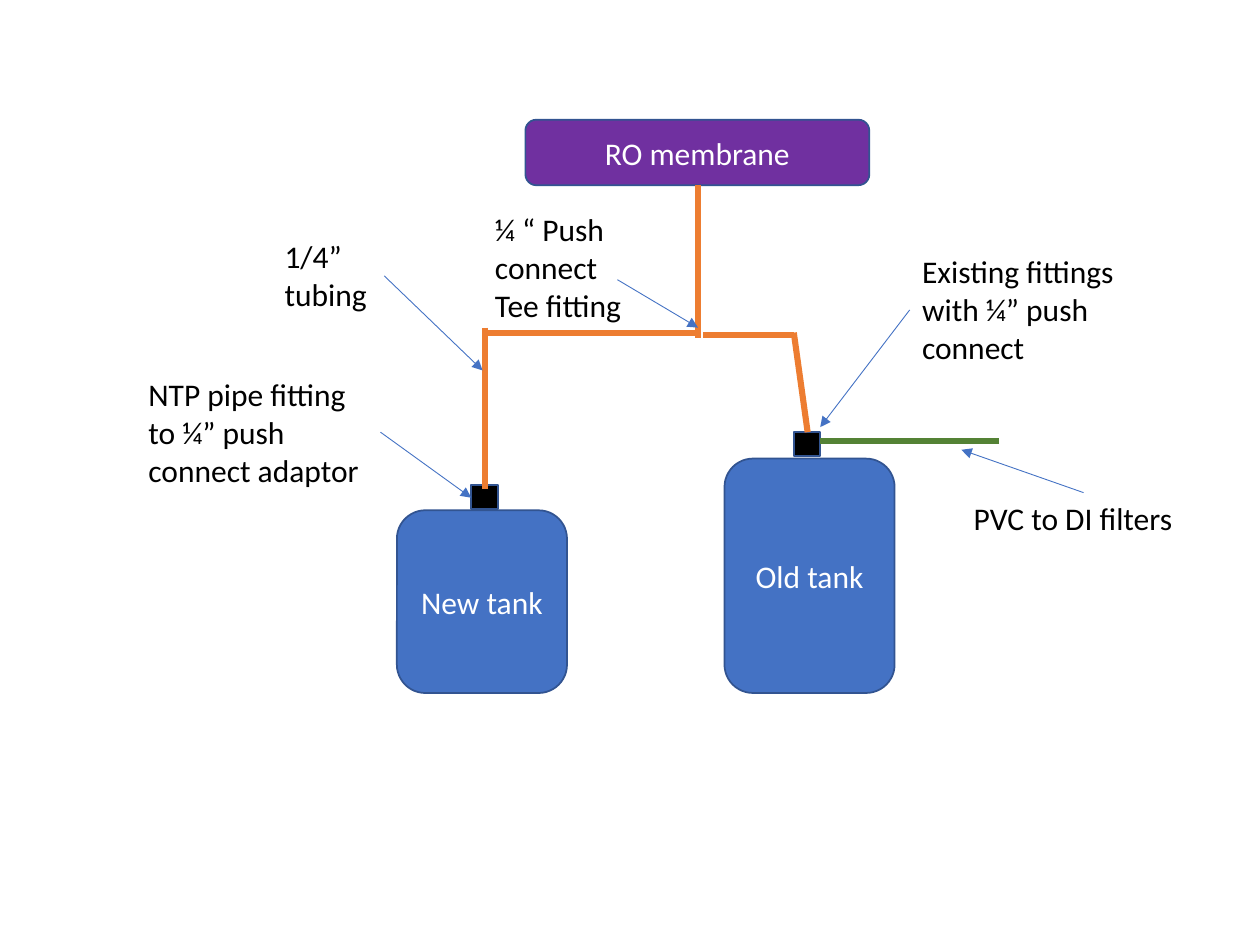
"""Build a plumbing diagram of an RO membrane feeding two tanks."""
from lxml.etree import SubElement
from pptx import Presentation
from pptx.dml.color import RGBColor
from pptx.enum.shapes import MSO_CONNECTOR, MSO_SHAPE
from pptx.enum.text import MSO_ANCHOR, PP_ALIGN
from pptx.oxml.ns import qn
from pptx.util import Inches, Pt

THEME = {
    "font": "Calibri", "size": 18, "text": "000000", "light": "FFFFFF",
    "tank": "4472C4", "edge": "325491", "unit": "7030A0", "cap": "000000",
    "tube": "ED7D31", "pvc": "548235", "arrow": "4472C4",
    "pipe": 3.5, "thin": 0.5, "rim": 1,
}

BOXES = [
    ("Old tank", "tank", (5.75, 3.64, 1.35, 1.86)),
    ("New tank", "tank", (3.15, 4.05, 1.35, 1.45)),
    ("RO membrane", "unit", (4.17, 0.95, 2.73, 0.52)),
    ("", "cap", (3.74, 3.85, 0.21, 0.19)),
    ("", "cap", (6.3, 3.43, 0.21, 0.19)),
]
PIPES = [
    ("tube", (5.54, 1.47, 5.54, 2.68)),
    ("tube", (5.54, 2.64, 3.83, 2.64)),
    ("tube", (3.85, 2.6, 3.85, 3.88)),
    ("tube", (6.3, 2.66, 5.58, 2.66)),
    ("tube", (6.3, 2.64, 6.41, 3.43)),
    ("pvc", (7.93, 3.5, 6.51, 3.5)),
]
NOTES = [
    ("1/4” tubing", (2.16, 1.83, 0.89, 0.71), (3.05, 2.19, 3.83, 2.94)),
    ("¼ “ Push connect Tee fitting", (3.83, 1.62, 1.31, 1.01),
     (4.9, 2.22, 5.54, 2.6)),
    ("NTP pipe fitting to ¼” push connect adaptor",
     (1.08, 2.93, 1.94, 1.01), (3.02, 3.43, 3.74, 3.95)),
    ("Existing fittings with ¼” push connect", (7.22, 1.95, 1.94, 1.01),
     (7.22, 2.46, 6.51, 3.39)),
    ("PVC to DI filters", (7.63, 3.91, 1.94, 0.4), (8.6, 3.91, 7.63, 3.57)),
]


def tint(name):
    return RGBColor.from_string(THEME[name])


def write(frame, text, color, align):
    frame.word_wrap = True
    frame.text = text
    para = frame.paragraphs[0]
    para.alignment = align
    for run in para.runs:
        run.font.name = THEME["font"]
        run.font.size = Pt(THEME["size"])
        run.font.color.rgb = tint(color)


def add_box(slide, text, color, area):
    kind = MSO_SHAPE.RECTANGLE if color == "cap" else MSO_SHAPE.ROUNDED_RECTANGLE
    box = slide.shapes.add_shape(kind, *map(Inches, area))
    box.shadow.inherit = False
    box.fill.solid()
    box.fill.fore_color.rgb = tint(color)
    box.line.color.rgb = tint("edge")
    box.line.width = Pt(THEME["rim"])
    if text:
        box.text_frame.vertical_anchor = MSO_ANCHOR.MIDDLE
        write(box.text_frame, text, "light", PP_ALIGN.CENTER)


def add_line(slide, color, width, ends):
    line = slide.shapes.add_connector(MSO_CONNECTOR.STRAIGHT, *map(Inches, ends))
    line.line.color.rgb = tint(color)
    line.line.width = Pt(THEME[width])
    if color == "arrow":
        SubElement(line.line._get_or_add_ln(), qn("a:tailEnd"), type="triangle")
    SubElement(line._element.spPr, qn("a:effectLst"))


def add_note(slide, text, area, ends):
    note = slide.shapes.add_textbox(*map(Inches, area))
    write(note.text_frame, text, "text", PP_ALIGN.LEFT)
    add_line(slide, "arrow", "thin", ends)


def main():
    deck = Presentation()
    deck.slide_width, deck.slide_height = Inches(10), Inches(7.5)
    slide = deck.slides.add_slide(deck.slide_layouts[6])
    for text, color, area in BOXES:
        add_box(slide, text, color, area)
    for color, ends in PIPES:
        add_line(slide, color, "pipe", ends)
    for text, area, ends in NOTES:
        add_note(slide, text, area, ends)
    deck.save("out.pptx")


if __name__ == "__main__":
    main()
